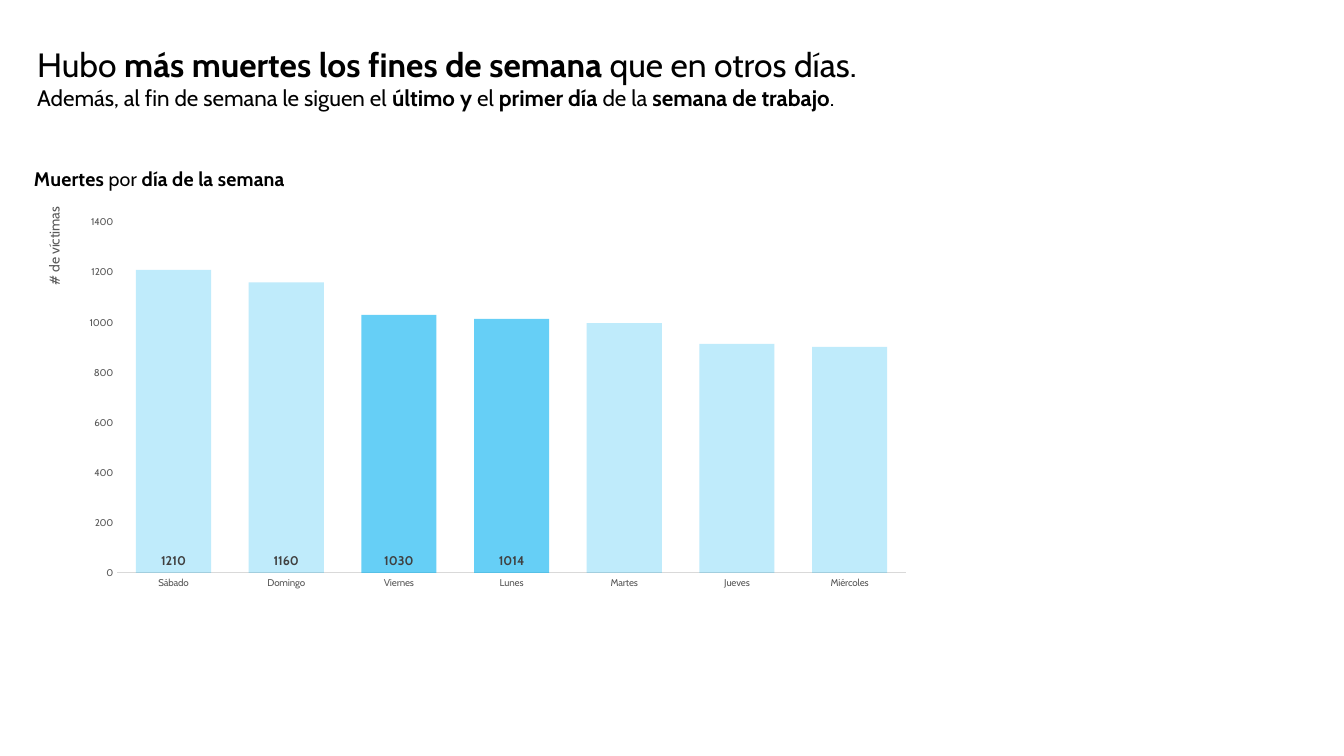
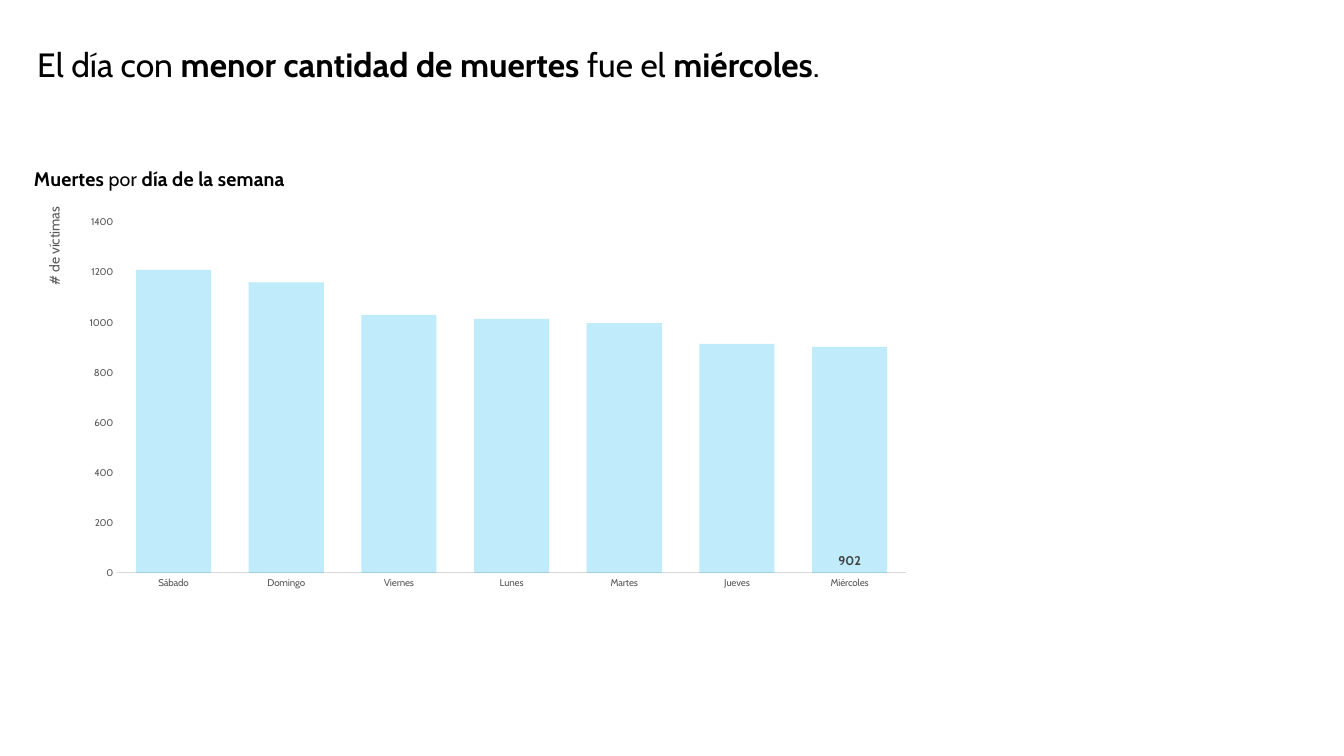
import pptx
import pptx.chart.data
import pptx.dml.color
import pptx.enum.chart
import pptx.enum.text
import pptx.oxml
import pptx.oxml.ns
import pptx.util
from dataclasses import dataclass
from itertools import cycle

Pt = pptx.util.Pt
RGB = pptx.dml.color.RGBColor.from_string
qn = pptx.oxml.ns.qn


@dataclass(frozen=True)
class Theme:
    font: str = "Cabin"
    ink: str = "000000"
    grey: str = "595959"
    mark: str = "404040"
    rule: str = "D9D9D9"
    bar: str = "00B0F0"
    pale: int = 25
    strong: int = 60
    head: int = 24
    sub: int = 16
    title: int = 14
    axis: int = 10
    label: int = 9
    tick: int = 7


theme = Theme()


def style(font, size, color, bold=False):
    font.name, font.size, font.bold = theme.font, Pt(size), bold
    font.color.rgb = RGB(color)


def place(node, **shares):
    """Pin a chart part by hand; shares are percents of the chart frame."""
    old = node.find(qn("c:layout"))
    if old is not None:
        node.remove(old)
    layout = pptx.oxml.parse_xml(
        f'<c:layout {pptx.oxml.ns.nsdecls("c")}><c:manualLayout/></c:layout>')
    for tag, value in shares.items():
        if tag in "xywh":
            value = value / 100
        layout[0].append(layout.makeelement(qn("c:" + tag), {"val": str(value)}))
    node.insert(0 if node.find(qn("c:tx")) is None else 1, layout)


days = ["Sábado", "Domingo", "Viernes", "Lunes", "Martes", "Jueves", "Miércoles"]
deaths = [1210, 1160, 1030, 1014, 997, 914, 902]

# Runs alternate between plain and bold, plain first.
pages = [
    dict(
        lines=[
            (theme.head, ["Hubo ", "más muertes los fines de semana ",
                          "que en otros días."]),
            (theme.sub, ["Además, al fin de semana le siguen el ", "último y ", "el ",
                         "primer día ", "de la ", "semana de trabajo", "."]),
        ],
        tall=10.3, strong=["Viernes", "Lunes"],
        shown=["Sábado", "Domingo", "Viernes", "Lunes"]),
    dict(
        lines=[(theme.head, ["El día con ", "menor cantidad de muertes ", "fue el ",
                             "miércoles", "."])],
        tall=6.7, strong=[], shown=["Miércoles"]),
]

deck = pptx.Presentation()
deck.slide_width = pptx.util.Inches(13.33)
deck.slide_height = pptx.util.Inches(7.5)
col, row = deck.slide_width / 100, deck.slide_height / 100
left, wide = int(2.03 * col), int(66.7 * col)

for page in pages:
    slide = deck.slides.add_slide(deck.slide_layouts[6])

    # Headline
    box = slide.shapes.add_textbox(left, int(5.2 * row), wide, int(page["tall"] * row))
    frame = box.text_frame
    frame.word_wrap = True
    frame.auto_size = pptx.enum.text.MSO_AUTO_SIZE.SHAPE_TO_FIT_TEXT
    for spot, (size, parts) in enumerate(page["lines"]):
        par = frame.add_paragraph() if spot else frame.paragraphs[0]
        for part, bold in zip(parts, cycle([False, True])):
            run = par.add_run()
            run.text = part
            style(run.font, size, theme.ink, bold)

    # Chart
    data = pptx.chart.data.CategoryChartData()
    data.categories = days
    data.add_series("Muertes", deaths)
    chart = slide.shapes.add_chart(
        pptx.enum.chart.XL_CHART_TYPE.COLUMN_CLUSTERED,
        left, int(20.93 * row), wide, int(58 * row), data).chart
    style(chart.font, theme.tick, theme.ink)
    chart.has_legend = False

    par = chart.chart_title.text_frame.paragraphs[0]
    for part, bold in [("Muertes ", True), ("por ", False), ("día de la semana", True)]:
        run = par.add_run()
        run.text = part
        style(run.font, theme.title, theme.ink, bold)
    chart.chart_title.include_in_layout = False
    place(chart.chart_title._element, xMode="edge", yMode="edge", x=0.4, y=1)

    for axis in (chart.category_axis, chart.value_axis):
        axis.has_major_gridlines = False
        axis.major_tick_mark = pptx.enum.chart.XL_TICK_MARK.NONE
        style(axis.tick_labels.font, theme.tick, theme.grey)
    rule = chart.category_axis.format.line
    rule.color.rgb, rule.width = RGB(theme.rule), Pt(0.75)

    scale = chart.value_axis
    scale.format.line.fill.background()
    scale.minimum_scale, scale.maximum_scale, scale.major_unit = 0, 1400, 200
    name = scale.axis_title
    run = name.text_frame.paragraphs[0].add_run()
    run.text = "# de víctimas"
    style(run.font, theme.axis, theme.grey)
    for body in name._element.iter(qn("a:bodyPr")):
        body.set("rot", "-5400000")
        body.set("vert", "horz")
    place(name._element, xMode="edge", yMode="edge", x=1.6, y=10.6)

    area = chart._chartSpace.find(".//" + qn("c:plotArea"))
    place(area, layoutTarget="inner", xMode="edge", yMode="edge",
          x=10.03, y=14.6, w=88, h=80)

    # Bars
    plot = chart.plots[0]
    plot.gap_width, plot.overlap, plot.vary_by_categories = 50, -27, False
    bars = plot.series[0]
    bars.invert_if_negative = False
    paints = [(bars, theme.pale)]
    paints += [(bars.points[days.index(day)], theme.strong) for day in page["strong"]]
    for item, share in paints:
        fill = item.format.fill
        fill.solid()
        fill.fore_color.rgb = RGB(theme.bar)
        for tone in fill._xPr.iter(qn("a:srgbClr")):
            alpha = tone.makeelement(qn("a:alpha"), {"val": str(share * 1000)})
            tone.append(alpha)

    for day in page["shown"]:
        label = bars.points[days.index(day)].data_label
        style(label.font, theme.label, theme.mark, True)
        label.position = pptx.enum.chart.XL_LABEL_POSITION.INSIDE_BASE

deck.save("out.pptx")
